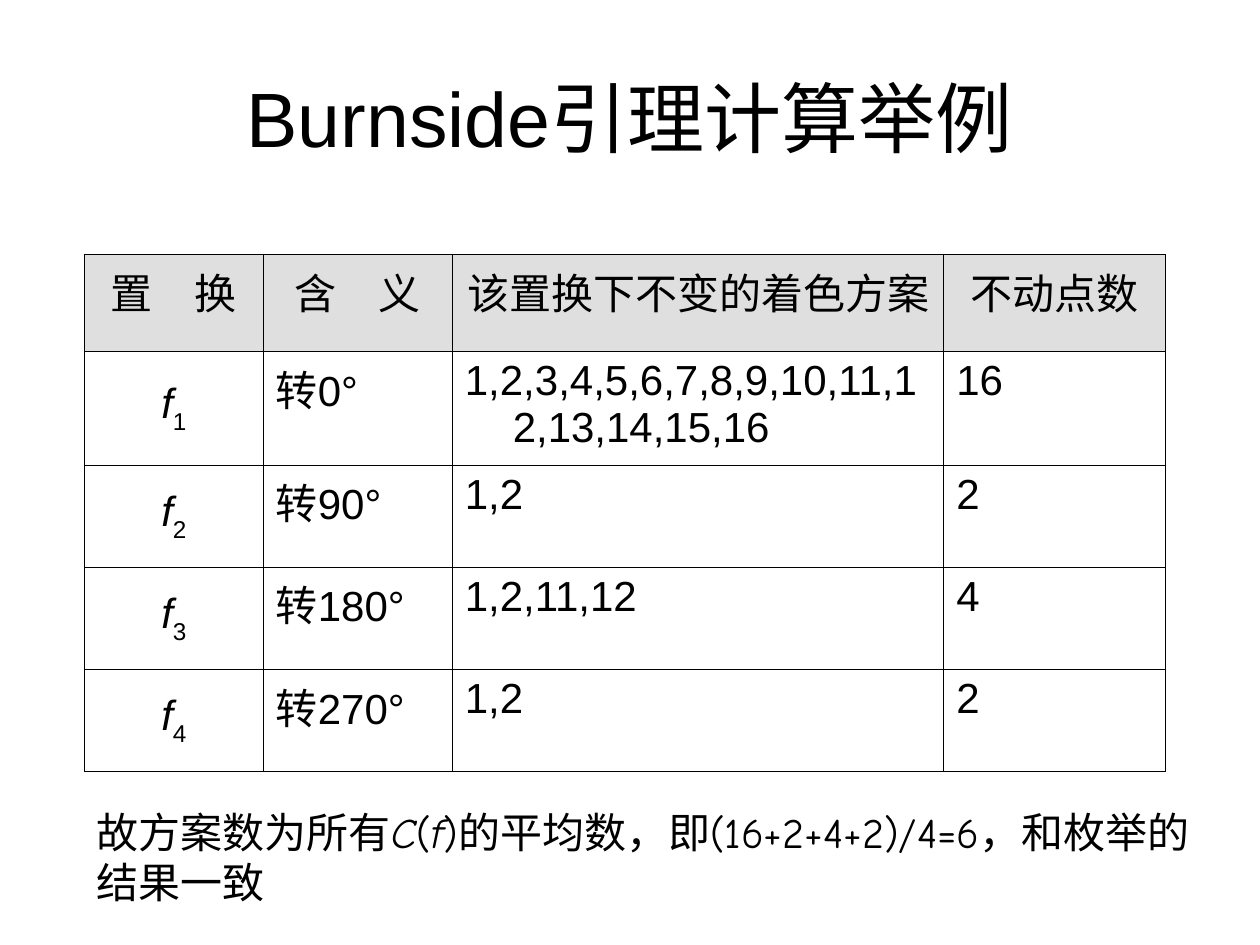
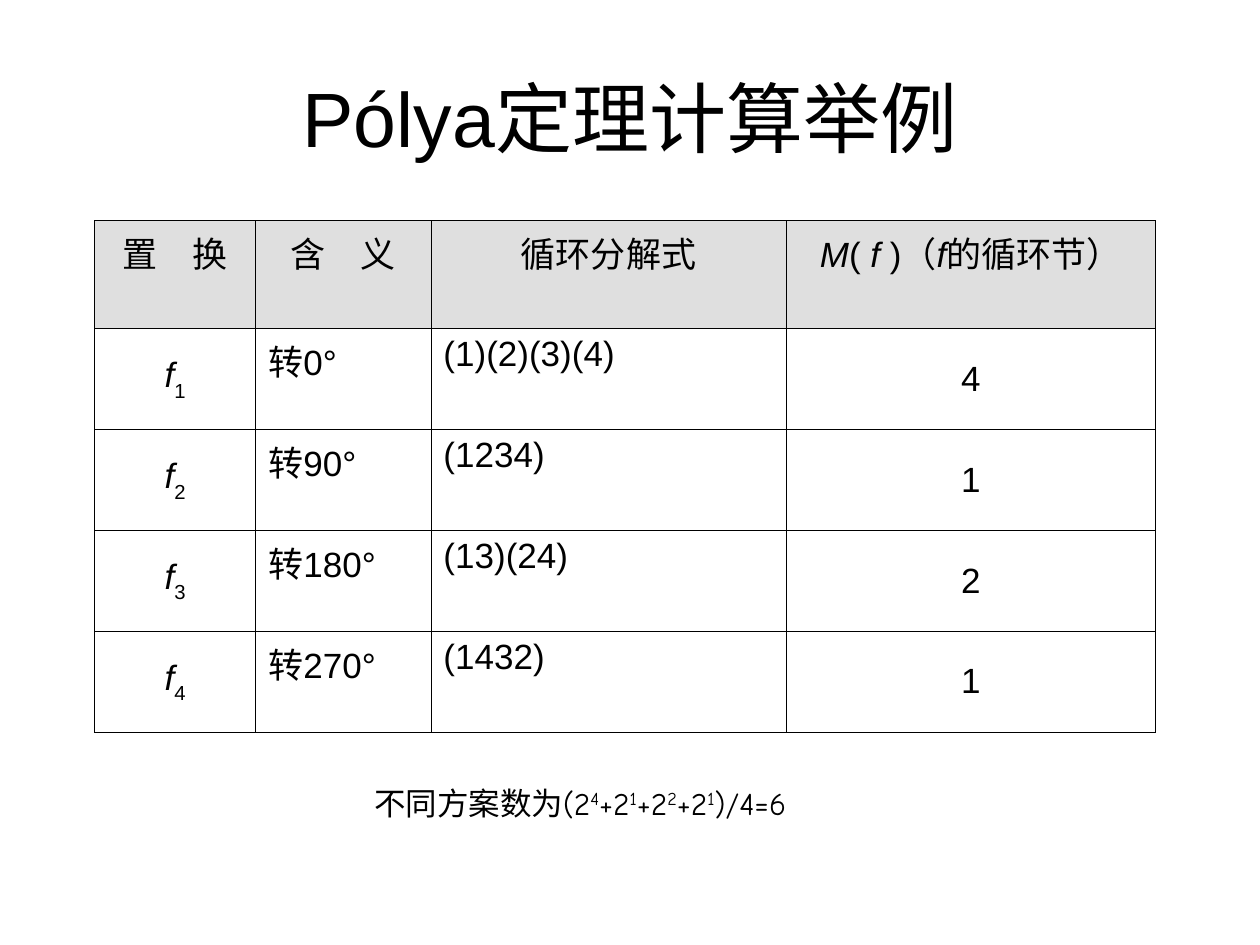
from dataclasses import dataclass

from lxml.etree import SubElement
from pptx import Presentation
from pptx.dml.color import RGBColor
from pptx.enum.lang import MSO_LANGUAGE_ID
from pptx.enum.text import MSO_ANCHOR, MSO_AUTO_SIZE, PP_ALIGN
from pptx.oxml.ns import qn
from pptx.util import Inches, Pt


@dataclass(frozen=True)
class Theme:
    ink: RGBColor = RGBColor(0x00, 0x00, 0x00)
    header_fill: RGBColor = RGBColor(0xDF, 0xDF, 0xDF)
    font: str = "Arial"
    note_font: str = "Comic Neue"
    title_size: float = 44
    border_width: float = 0.45
    hanging_indent: float = 0.38


GRID_COLUMNS = 10
TITLE_ONLY_LAYOUT = 5
BASELINES = {"sub": "-30000", "super": "30000"}


class Deck:
    """Holds the theme and the current slide; lengths are in grid units."""

    def __init__(self, theme):
        self.theme = theme
        self.presentation = Presentation()
        self.presentation.slide_width = Inches(10)
        self.presentation.slide_height = Inches(7.5)
        self.unit = self.presentation.slide_width / GRID_COLUMNS
        self.slide = None

    def lengths(self, *values):
        return [round(value * self.unit) for value in values]

    def add_text(self, paragraph, content, size, font):
        """Add plain text, or a list of (text, style) pieces."""
        pieces = [(content, "")] if isinstance(content, str) else content
        for text, style in pieces:
            run = paragraph.add_run()
            run.text = text
            run.font.name = font
            run.font.size = Pt(size)
            run.font.bold = False
            run.font.italic = style == "italic"
            run.font.color.rgb = self.theme.ink
            run.font.language_id = MSO_LANGUAGE_ID.SIMPLIFIED_CHINESE
            if style in BASELINES:
                run._r.get_or_add_rPr().set("baseline", BASELINES[style])

    def add_slide(self, title):
        layout = self.presentation.slide_layouts[TITLE_ONLY_LAYOUT]
        self.slide = self.presentation.slides.add_slide(layout)
        shape = self.slide.shapes.title
        shape.left, shape.top, shape.width, shape.height = self.lengths(0.5, 0.3, 9, 1.25)
        frame = shape.text_frame
        frame.auto_size = MSO_AUTO_SIZE.NONE
        frame.vertical_anchor = MSO_ANCHOR.MIDDLE
        paragraph = frame.paragraphs[0]
        paragraph.alignment = PP_ALIGN.CENTER
        self.add_text(paragraph, title, self.theme.title_size, self.theme.font)

    def add_borders(self, cell):
        properties = cell._tc.get_or_add_tcPr()
        for side in ("lnL", "lnR", "lnT", "lnB"):
            line = SubElement(properties, qn(f"a:{side}"), w=str(Pt(self.theme.border_width)))
            fill = SubElement(line, qn("a:solidFill"))
            SubElement(fill, qn("a:srgbClr"), val=str(self.theme.ink))

    def fill_cell(self, cell, content, size, is_header, is_middle):
        self.add_borders(cell)
        if is_header:
            cell.fill.solid()
            cell.fill.fore_color.rgb = self.theme.header_fill
        else:
            cell.fill.background()
        cell.vertical_anchor = MSO_ANCHOR.MIDDLE if is_middle else MSO_ANCHOR.TOP
        paragraph = cell.text_frame.paragraphs[0]
        paragraph.alignment = PP_ALIGN.CENTER if is_header or is_middle else PP_ALIGN.LEFT
        indent = Inches(self.theme.hanging_indent)
        properties = paragraph._p.get_or_add_pPr()
        properties.set("marL", str(indent))
        properties.set("indent", str(-indent))
        self.add_text(paragraph, content, size, self.theme.font)

    def add_table(self, left, top, widths, heights, rows, size, middle_columns):
        """Add a ruled table; body cells of middle_columns are centred both ways."""
        box = self.lengths(left, top, sum(widths), sum(heights))
        table = self.slide.shapes.add_table(len(rows), len(widths), *box).table
        table.first_row = table.horz_banding = False
        for column, width in zip(table.columns, self.lengths(*widths)):
            column.width = width
        for row, height in zip(table.rows, self.lengths(*heights)):
            row.height = height
        for r, row in enumerate(rows):
            for c, content in enumerate(row):
                is_header = r == 0
                is_middle = not is_header and c in middle_columns
                self.fill_cell(table.cell(r, c), content, size, is_header, is_middle)

    def add_note(self, left, top, width, height, content, size):
        shape = self.slide.shapes.add_textbox(*self.lengths(left, top, width, height))
        frame = shape.text_frame
        frame.word_wrap = True
        frame.auto_size = MSO_AUTO_SIZE.SHAPE_TO_FIT_TEXT
        self.add_text(frame.paragraphs[0], content, size, self.theme.note_font)


def permutation_rows(header, results):
    """Put the four rotations in front of the results of each table."""
    rows = [["置　换", "含　义", *header]]
    for index, result in enumerate(results):
        name = [("f", "italic"), (str(index + 1), "sub")]
        rows.append([name, f"转{index * 90}°", *result])
    return rows


def build_burnside_slide(deck):
    deck.add_slide("Burnside引理计算举例")
    rows = permutation_rows(
        ["该置换下不变的着色方案", "不动点数"],
        [
            ("1,2,3,4,5,6,7,8,9,10,11,12,13,14,15,16", "16"),
            ("1,2", "2"),
            ("1,2,11,12", "4"),
            ("1,2", "2"),
        ],
    )
    deck.add_table(0.67, 2.02, [1.42, 1.5, 3.9, 1.76], [0.77, 0.9] + [0.81] * 3,
                   rows, size=24, middle_columns={0})
    average = [
        ("故方案数为所有", ""),
        ("C", "italic"),
        ("(", ""),
        ("f", "italic"),
        (")的平均数，即(16+2+4+2)/4=6，和枚举的结果一致", ""),
    ]
    deck.add_note(0.67, 6.35, 8.98, 0.9, average, size=24)


def build_polya_slide(deck):
    deck.add_slide("Pólya定理计算举例")
    cycle_count = [
        ("M", "italic"),
        ("( ", ""),
        ("f ", "italic"),
        (")（", ""),
        ("f", "italic"),
        ("的循环节）", ""),
    ]
    cycles = ["(1)(2)(3)(4)", "(1234)", "(13)(24)", "(1432)"]
    counts = [cycle.count("(") for cycle in cycles]
    rows = permutation_rows(
        ["循环分解式", cycle_count],
        [(cycle, str(count)) for cycle, count in zip(cycles, counts)],
    )
    deck.add_table(0.75, 1.75, [1.28, 1.39, 2.82, 2.93], [0.86] + [0.8] * 4,
                   rows, size=20, middle_columns={0, 3})

    # Each permutation adds two colours to the power of its cycle count
    total = [("不同方案数为(2", "")]
    for position, count in enumerate(counts):
        if position:
            total.append(("+2", ""))
        total.append((str(count), "super"))
    total.append((")/4=6", ""))
    deck.add_note(2.87, 6.17, 5.28, 0.4, total, size=18)


def main():
    deck = Deck(Theme())
    build_burnside_slide(deck)
    build_polya_slide(deck)
    deck.presentation.save("out.pptx")


if __name__ == "__main__":
    main()
